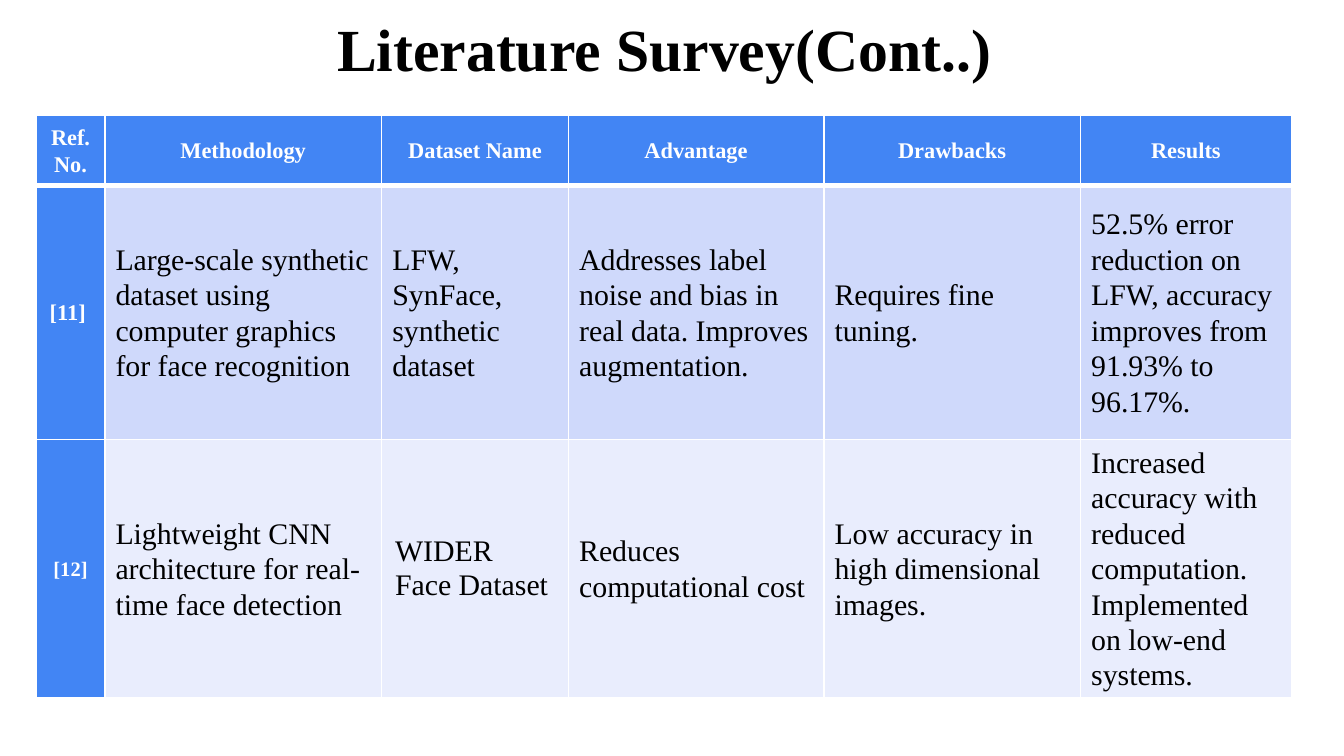
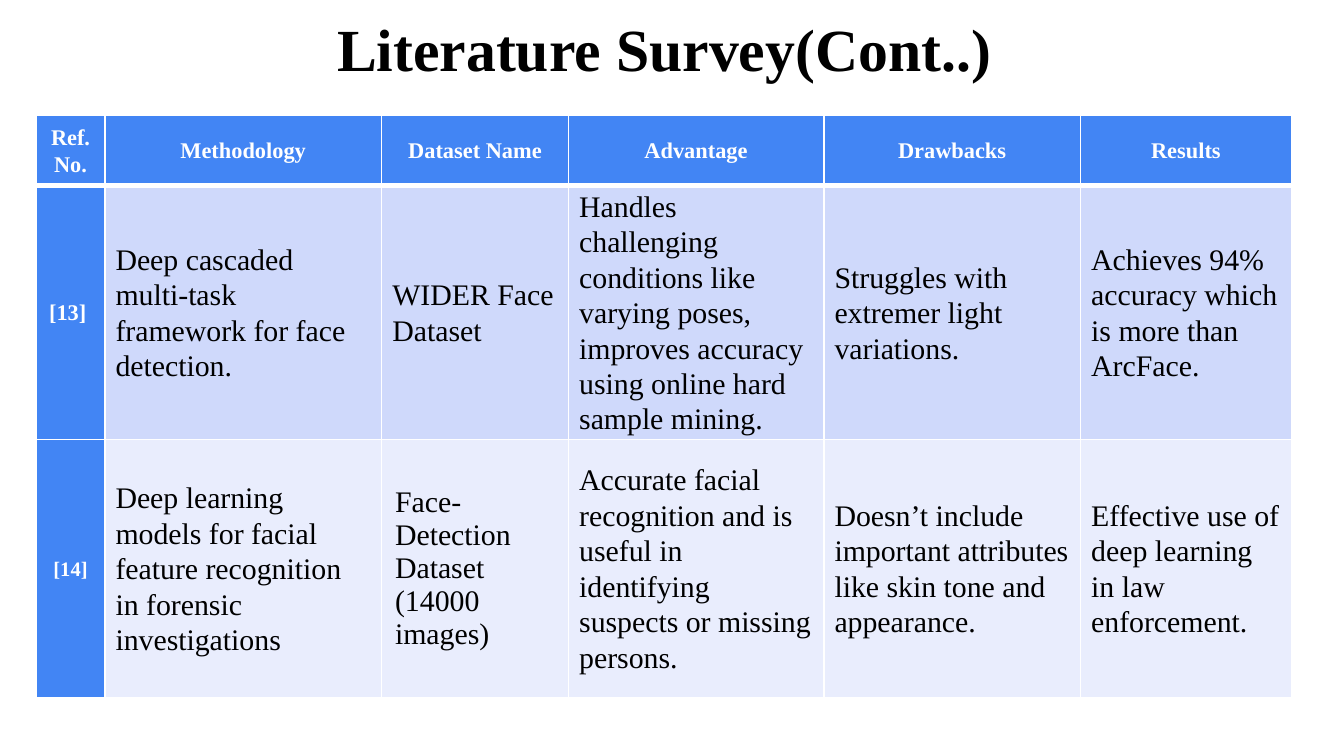
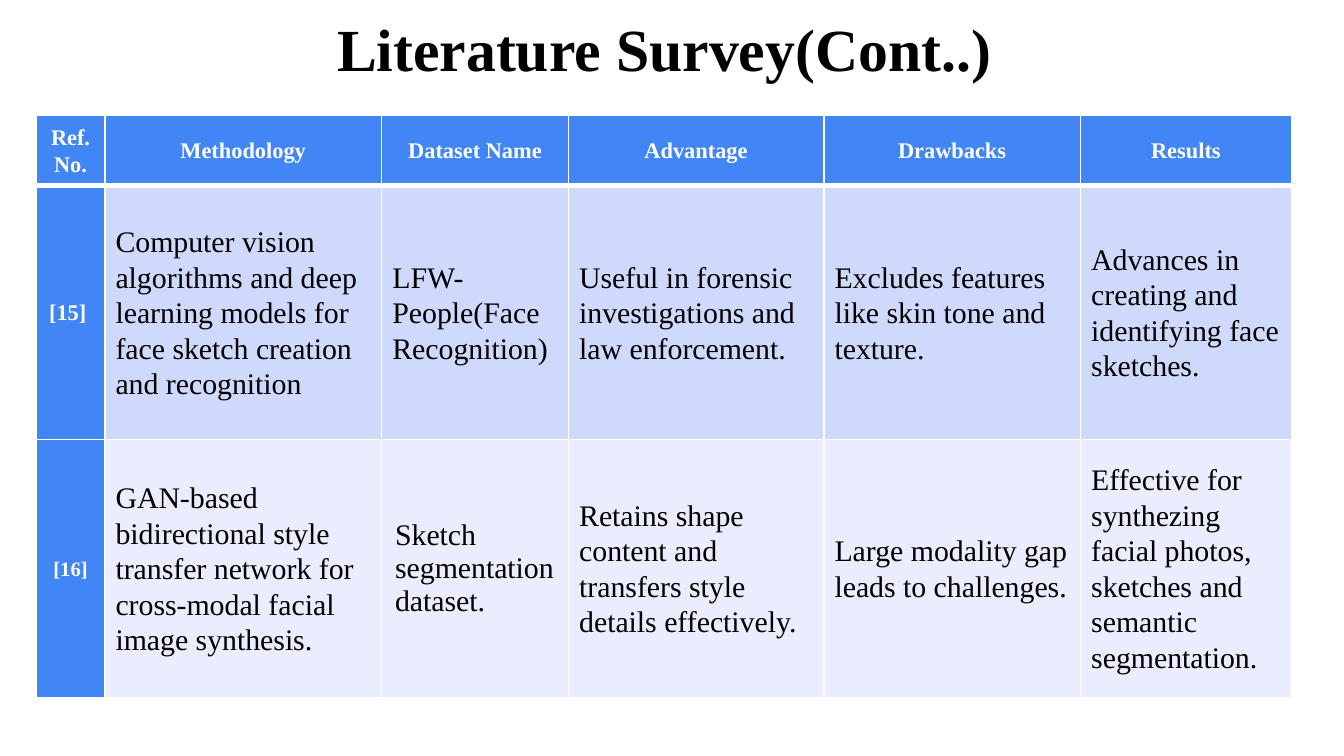
from dataclasses import dataclass

from lxml import etree
from pptx import Presentation
from pptx import util as u
from pptx.dml import color
from pptx.enum import text
from pptx.oxml import ns

TITLE = "Literature Survey(Cont..) "
HEADINGS = ["Ref. No.", "Methodology", "Dataset Name", "Advantage", "Drawbacks", "Results"]
SURVEYS = [
    [
        ["[11] ", "Large-scale synthetic dataset using computer graphics for face recognition",
         "LFW, SynFace, synthetic dataset",
         "Addresses label noise and bias in real data. Improves augmentation.",
         "Requires fine tuning.",
         "52.5% error reduction on LFW, accuracy improves from 91.93% to 96.17%."],
        ["[12]", "Lightweight CNN architecture for real-time face detection",
         "WIDER Face Dataset",
         "Reduces computational cost",
         "Low accuracy in high dimensional images.",
         "Increased accuracy with reduced computation. Implemented on low-end systems."],
    ],
    [
        ["[13] ", "Deep cascaded multi-task framework for face detection.",
         "WIDER Face Dataset",
         "Handles challenging conditions like varying poses, improves accuracy using online hard sample mining.",
         "Struggles with extremer light variations.",
         "Achieves 94% accuracy which is more than ArcFace."],
        ["[14]", "Deep learning models for facial feature recognition in forensic investigations",
         "Face-Detection Dataset\n(14000 images)",
         "Accurate facial recognition and is useful in identifying suspects or missing persons.",
         "Doesn’t include important attributes like skin tone and appearance.",
         "Effective use of deep learning in law enforcement."],
    ],
    [
        ["[15] ", "Computer vision algorithms and deep learning models for face sketch creation and recognition",
         "LFW-People(Face Recognition)",
         "Useful in forensic investigations and law enforcement.",
         "Excludes features like skin tone and texture.",
         "Advances in creating and identifying face sketches."],
        ["[16]", "GAN-based bidirectional style transfer network for cross-modal facial image synthesis.",
         "Sketch segmentation dataset.",
         "Retains shape content and transfers style details effectively.",
         "Large modality gap leads to challenges.",
         "Effective for synthezing facial photos, sketches and semantic segmentation."],
    ],
]

SLIDE_WIDTH = 10
SLIDE_HEIGHT = SLIDE_WIDTH * 9 / 16
COLUMN_WIDTHS = [0.51, 2.06, 1.39, 1.9, 1.91, 1.57]
ROW_HEIGHTS = [0.52, 1.89, 1.92]
DATASET_COLUMN = 2


@dataclass(frozen=True)
class Theme:
    font: str = "Times New Roman"
    ink: str = "000000"
    paper: str = "FFFFFF"
    accent: str = "4285F4"
    bands: tuple = ("CFD9FB", "E9EDFD")
    title_size: int = 32
    heading_size: int = 12
    last_ref_size: int = 11
    body_size: int = 16
    line_spacing: float = 1.07
    rule: int = 1
    heading_rule: int = 3


THEME = Theme()


def style_font(paragraph, size, ink, bold):
    font = paragraph.font
    font.name, font.size, font.bold = THEME.font, u.Pt(size), bold
    font.color.rgb = color.RGBColor.from_string(ink)


def set_insets(area, horizontal, vertical):
    area.margin_left = area.margin_right = u.Inches(horizontal)
    area.margin_top = area.margin_bottom = u.Inches(vertical)


def add_title(slide):
    title = slide.shapes.title
    title.left, title.top = u.Inches(0), u.Inches(-0.01)
    title.width, title.height = u.Inches(SLIDE_WIDTH), u.Inches(0.87)
    frame = title.text_frame
    frame.text = TITLE
    frame.word_wrap = True
    frame.auto_size = text.MSO_AUTO_SIZE.NONE
    frame.vertical_anchor = text.MSO_ANCHOR.TOP
    set_insets(frame, 0.1, 0.1)
    heading = frame.paragraphs[0]
    heading.alignment = text.PP_ALIGN.CENTER
    style_font(heading, THEME.title_size, THEME.ink, True)


def draw_heading_borders(cell):
    properties = cell._tc.get_or_add_tcPr()
    for side in "LRTB":
        width = THEME.heading_rule if side == "B" else THEME.rule
        line = etree.SubElement(properties, ns.qn(f"a:ln{side}"), w=str(u.Pt(width)))
        fill = etree.SubElement(line, ns.qn("a:solidFill"))
        etree.SubElement(fill, ns.qn("a:srgbClr"), val=THEME.paper)


def fill_cell(cell, words, row, column):
    is_label = row == 0 or column == 0
    is_loose = row == 2 and column == DATASET_COLUMN
    if row == 0:
        draw_heading_borders(cell)
    cell.fill.solid()
    shade = THEME.accent if is_label else THEME.bands[row - 1]
    cell.fill.fore_color.rgb = color.RGBColor.from_string(shade)
    cell.vertical_anchor = text.MSO_ANCHOR.MIDDLE
    set_insets(cell, *((0.1, 0.05) if is_loose else (0.08, 0)))
    cell.text = words
    label_size = THEME.last_ref_size if row == 2 else THEME.heading_size
    for paragraph in cell.text_frame.paragraphs:
        paragraph.alignment = text.PP_ALIGN.CENTER if is_label else text.PP_ALIGN.LEFT
        if not is_loose:
            paragraph.line_spacing = THEME.line_spacing
        if is_label:
            style_font(paragraph, label_size, THEME.paper, True)
        else:
            style_font(paragraph, THEME.body_size, THEME.ink, False)


def add_survey(slide, papers):
    rows = [HEADINGS, *papers]
    survey = slide.shapes.add_table(
        len(rows), len(HEADINGS), u.Inches(0.27), u.Inches(0.86),
        u.Inches(sum(COLUMN_WIDTHS)), u.Inches(sum(ROW_HEIGHTS))).table
    survey.first_col = True
    for column, width in zip(survey.columns, COLUMN_WIDTHS):
        column.width = u.Inches(width)
    for row, height in zip(survey.rows, ROW_HEIGHTS):
        row.height = u.Inches(height)
    for r, row in enumerate(rows):
        for c, words in enumerate(row):
            fill_cell(survey.cell(r, c), words, r, c)


def main():
    deck = Presentation()
    deck.slide_width, deck.slide_height = u.Inches(SLIDE_WIDTH), u.Inches(SLIDE_HEIGHT)
    title_only = deck.slide_layouts[5]
    for papers in SURVEYS:
        slide = deck.slides.add_slide(title_only)
        add_title(slide)
        add_survey(slide, papers)
    deck.save("out.pptx")


if __name__ == "__main__":
    main()
